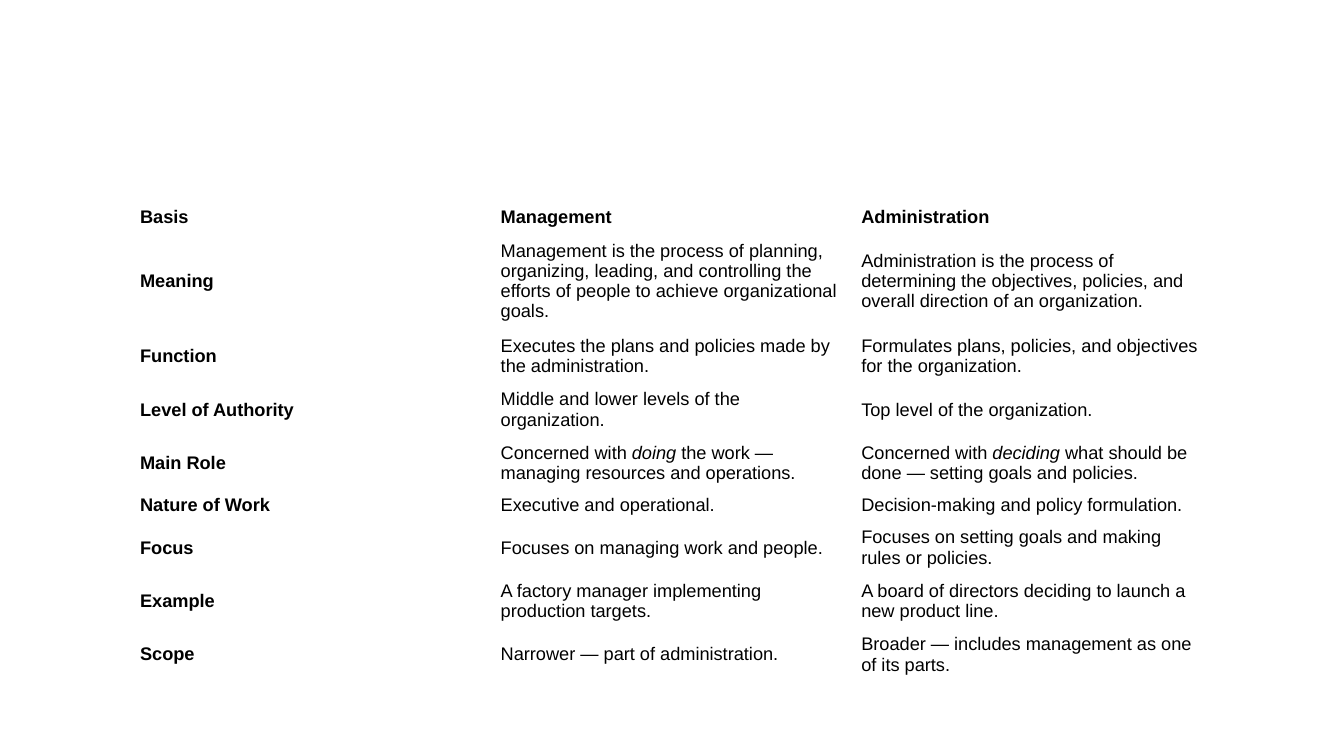
from pptx import Presentation
from pptx.dml.color import RGBColor
from pptx.enum.text import MSO_ANCHOR
from pptx.util import Inches, Pt

MIDDLE = MSO_ANCHOR.MIDDLE
BLANK_LAYOUT = 6
COLORS = {"text": "000000", "background": "FFFFFF"}
FONT = "Arial"
TABLE_BOX = (1.3, 2, 10.73, 4.76)
ROW_HEIGHTS = [0.31, 0.96, 0.53, 0.53, 0.53, 0.31, 0.53, 0.53, 0.53]
ITALIC_MARK = "*"
COMPARISON = [
    ("Basis", "Management", "Administration"),
    ("Meaning",
     "Management is the process of planning, organizing, leading, and controlling "
     "the efforts of people to achieve organizational goals.",
     "Administration is the process of determining the objectives, policies, and "
     "overall direction of an organization."),
    ("Function",
     "Executes the plans and policies made by the administration.",
     "Formulates plans, policies, and objectives for the organization."),
    ("Level of Authority",
     "Middle and lower levels of the organization.",
     "Top level of the organization."),
    ("Main Role",
     "Concerned with *doing* the work — managing resources and operations.",
     "Concerned with *deciding* what should be done — setting goals and policies."),
    ("Nature of Work",
     "Executive and operational.",
     "Decision-making and policy formulation."),
    ("Focus",
     "Focuses on managing work and people.",
     "Focuses on setting goals and making rules or policies."),
    ("Example",
     "A factory manager implementing production targets.",
     "A board of directors deciding to launch a new product line."),
    ("Scope",
     "Narrower — part of administration.",
     "Broader — includes management as one of its parts."),
]


def write_text(paragraph, text, size=13, bold=False, color="text"):
    """Write text into a paragraph, with marked words in italics."""
    for index, part in enumerate(text.split(ITALIC_MARK)):
        run = paragraph.add_run()
        run.text = part
        run.font.name = FONT
        run.font.size = Pt(size)
        run.font.bold = bold
        run.font.italic = index % 2 == 1
        run.font.color.rgb = RGBColor.from_string(COLORS[color])


def format_cell(cell):
    """Give a cell no fill, narrow margins and middle anchoring."""
    cell.fill.background()
    cell.vertical_anchor = MIDDLE
    cell.margin_left = cell.margin_right = Inches(0.09)
    cell.margin_top = cell.margin_bottom = Inches(0.05)


def add_comparison_table(slide, box):
    """Place the comparison of management and administration in the box."""
    left, top, width, height = box
    column_count = len(COMPARISON[0])
    table = slide.shapes.add_table(
        len(COMPARISON), column_count,
        Inches(left), Inches(top), Inches(width), Inches(height)).table
    table.first_row = False
    table.horz_banding = False
    for column in table.columns:
        column.width = Inches(width / column_count)
    for row, row_height in zip(table.rows, ROW_HEIGHTS):
        row.height = Inches(row_height)
    for row_index, texts in enumerate(COMPARISON):
        for column_index, text in enumerate(texts):
            cell = table.cell(row_index, column_index)
            format_cell(cell)
            is_heading = row_index == 0 or column_index == 0
            write_text(cell.text_frame.paragraphs[0], text, bold=is_heading)


def main():
    """Build the slide and save the presentation."""
    presentation = Presentation()
    presentation.slide_width = Inches(13.33)
    presentation.slide_height = Inches(7.5)
    slide = presentation.slides.add_slide(presentation.slide_layouts[BLANK_LAYOUT])
    slide.background.fill.solid()
    slide.background.fill.fore_color.rgb = RGBColor.from_string(COLORS["background"])
    add_comparison_table(slide, TABLE_BOX)
    presentation.save("out.pptx")


if __name__ == "__main__":
    main()
